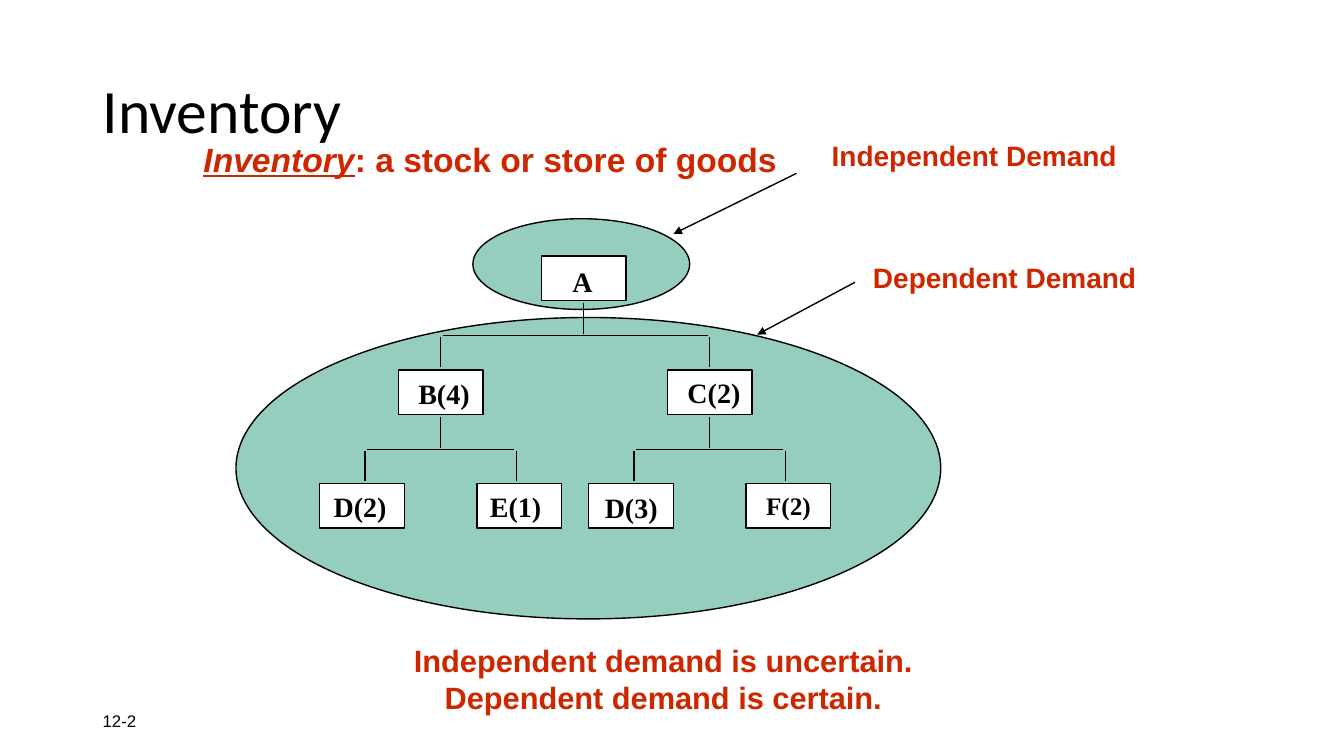
from pptx import Presentation
from pptx.dml.color import RGBColor
from pptx.enum.shapes import MSO_CONNECTOR as Line, MSO_SHAPE as Shape
from pptx.enum.text import MSO_ANCHOR as Anchor, PP_ALIGN as Align
from pptx.oxml.ns import qn
from pptx.util import Inches, Pt
from lxml.etree import SubElement

TITLE = "Inventory"
PAGE_NUMBER = "12-2"
DEFINITION = [("Inventory", {"italic": True, "underline": True}),
              (": a stock or store of goods", {})]
CONCLUSION = "Independent demand is uncertain.\vDependent demand is certain."

# demand zone: left, top, width, height
ZONES = [(4.69, 2.17, 2.15, 0.9), (2.34, 3.15, 6.99, 2.99)]

# caption, its box, arrow tip, arrow start
CAPTIONS = [
    ("Independent Demand", (8.15, 1.33, 3.05, 0.43), (6.68, 2.32), (7.9, 1.72)),
    ("Dependent Demand", (8.56, 2.54, 2.84, 0.43), (7.51, 3.32), (8.48, 2.8)),
]

# part, level, centre of its box, label offset (x, y), label width, label size
PARTS = [
    ("A", 0, 5.79, (0.21, 0.03), 0.4, 20),
    ("B(4)", 1, 4.37, (0.1, 0.02), 0.71, 20),
    ("C(2)", 1, 7.04, (0.1, 0.01), 0.73, 20),
    ("D(2)", 2, 3.59, (0.04, 0.01), 0.73, 20),
    ("E(1)", 2, 5.15, (0.03, 0.01), 0.71, 20),
    ("D(3)", 2, 6.26, (0.06, 0.02), 0.73, 20),
    ("F(2)", 2, 7.82, (0.1, 0.02), 0.65, 18),
]

# parent level, parent centre, centres of the two drops to its children
BRANCHES = [(0, 5.79, (4.37, 7.04)),
            (1, 4.37, (3.62, 5.12)),
            (1, 7.04, (6.29, 7.79))]

THEME = {
    "ink": "000000", "accent": "CE2700", "zone": "95CDBE", "paper": "FFFFFF",
    "sans": "Arial", "serif": "Times New Roman", "heading": "Calibri",
    "title": 44, "definition": 24, "conclusion": 22, "caption": 20, "page": 12,
    "stroke": 1,
}

TREE_TOP, LEVEL_STEP = 2.54, 1.13
BOX_W, BOX_H = 0.84, 0.44
# distances below the top of a parent box
STEM_TOP, STEM_END, BAR, DROP_TOP, DROP_END = 0.47, 0.77, 0.79, 0.8, 1.1
BAR_INSET = 0.02


def color(name):
    return RGBColor.from_string(THEME[name])


def add_text(slide, content, box, *, size, font="sans", ink="accent", bold=True,
             align=Align.LEFT, anchor=Anchor.TOP, wrap=False, spacing=None):
    """Content is a string or a list of (text, font attributes) runs."""
    frame = slide.shapes.add_textbox(*map(Inches, box)).text_frame
    frame.word_wrap = wrap
    frame.vertical_anchor = anchor
    paragraph = frame.paragraphs[0]
    paragraph.alignment = align
    paragraph.line_spacing = spacing
    paragraph.font.size = Pt(size)
    runs = [(content, {})] if isinstance(content, str) else content
    for words, extras in runs:
        for index, line in enumerate(words.split("\v")):
            if index:
                paragraph.add_line_break()
            run = paragraph.add_run()
            run.text = line
            run.font.name = THEME[font]
            run.font.size = Pt(size)
            run.font.bold = bold
            run.font.color.rgb = color(ink)
            for attribute, value in extras.items():
                setattr(run.font, attribute, value)


def add_outlined(slide, preset, box, fill):
    outlined = slide.shapes.add_shape(preset, *map(Inches, box))
    outlined.shadow.inherit = False
    outlined.fill.solid()
    outlined.fill.fore_color.rgb = color(fill)
    outlined.line.color.rgb = color("ink")
    outlined.line.width = Pt(THEME["stroke"])


def add_line(slide, start, end, arrow=False):
    """An arrow has its head at the start."""
    line = slide.shapes.add_connector(Line.STRAIGHT, *map(Inches, (*start, *end)))
    line.line.color.rgb = color("ink")
    line.line.width = Pt(THEME["stroke"])
    properties = line._element.spPr
    if arrow:
        SubElement(properties.find(qn("a:ln")), qn("a:headEnd"), type="triangle")
    SubElement(properties, qn("a:effectLst"))


def level_top(level):
    return TREE_TOP + level * LEVEL_STEP


def add_part(slide, part, level, centre, offset, label_width, size):
    left, top = centre - BOX_W / 2, level_top(level)
    add_outlined(slide, Shape.RECTANGLE, (left, top, BOX_W, BOX_H), "paper")
    add_text(slide, part, (left + offset[0], top + offset[1], label_width, 0.43),
             size=size, font="serif", ink="ink")


def add_branch(slide, level, centre, drops):
    top = level_top(level)
    add_line(slide, (centre, top + STEM_TOP), (centre, top + STEM_END))
    add_line(slide, (drops[0] + BAR_INSET, top + BAR),
             (drops[1] - BAR_INSET, top + BAR))
    for drop in drops:
        add_line(slide, (drop, top + DROP_TOP), (drop, top + DROP_END))


def main():
    deck = Presentation()
    deck.slide_width, deck.slide_height = Inches(13.33), Inches(7.5)
    slide = deck.slides.add_slide(deck.slide_layouts[6])

    for zone in ZONES:
        add_outlined(slide, Shape.OVAL, zone, "zone")
    for part in PARTS:
        add_part(slide, *part)
    for branch in BRANCHES:
        add_branch(slide, *branch)
    for caption, box, tip, start in CAPTIONS:
        add_text(slide, caption, box, size=THEME["caption"])
        add_line(slide, tip, start, arrow=True)

    add_text(slide, TITLE, (0.92, 0.4, 11.5, 1.45), size=THEME["title"],
             font="heading", ink="ink", bold=False, anchor=Anchor.MIDDLE,
             wrap=True, spacing=0.9)
    add_text(slide, DEFINITION, (1.92, 1.33, 5.94, 0.5), size=THEME["definition"])
    add_text(slide, CONCLUSION, (1.58, 6.32, 10, 0.84), size=THEME["conclusion"],
             align=Align.CENTER, wrap=True)
    add_text(slide, PAGE_NUMBER, (0.92, 6.95, 3, 0.4), size=THEME["page"],
             ink="ink", bold=False, anchor=Anchor.MIDDLE, wrap=True)
    deck.save("out.pptx")


if __name__ == "__main__":
    main()
